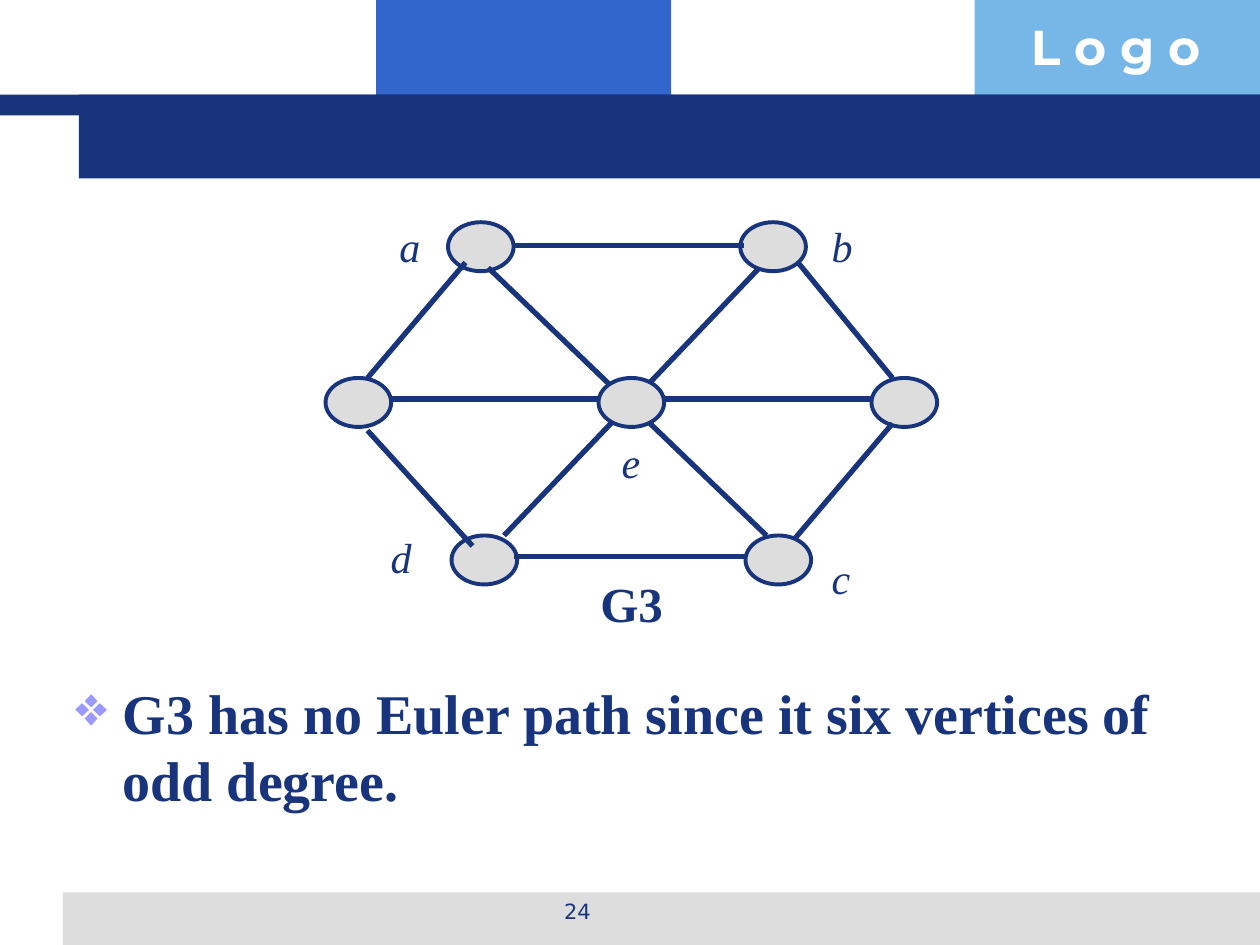
from pptx import Presentation
from pptx.util import Pt
from pptx.dml.color import RGBColor
from pptx.enum.shapes import MSO_CONNECTOR, MSO_SHAPE
from pptx.enum.text import MSO_ANCHOR, PP_ALIGN
from pptx.oxml.ns import qn
from lxml.etree import SubElement

NAVY, GREY, SERIF = "17347D", "DDDDDD", "Times New Roman"
rgb = RGBColor.from_string

deck = Presentation()
deck.slide_width, deck.slide_height = Pt(720), Pt(540)
slide = deck.slides.add_slide(deck.slide_layouts[6])
shapes = slide.shapes


def add_text(text, x, y, w, h, size, face=SERIF, color=NAVY, bold=False,
             italic=False, align=PP_ALIGN.LEFT, wrap=True):
    box = shapes.add_textbox(Pt(x), Pt(y), Pt(w), Pt(h))
    frame = box.text_frame
    frame.text = text
    frame.word_wrap = wrap
    para = frame.paragraphs[0]
    para.alignment = align
    font = para.runs[0].font
    font.name, font.size = face, Pt(size)
    font.bold, font.italic = bold, italic
    font.color.rgb = rgb(color)
    return frame


def add_shape(kind, x, y, w, h, fill, line=None):
    shape = shapes.add_shape(kind, Pt(x), Pt(y), Pt(w), Pt(h))
    shape.shadow.inherit = False
    shape.fill.solid()
    shape.fill.fore_color.rgb = rgb(fill)
    if line:
        shape.line.color.rgb = rgb(line)
        shape.line.width = Pt(2.25)
    else:
        shape.line.fill.background()


# Header and footer bands
for x, y, w, h, fill in [
    (215, 0, 168.5, 66, "3366CC"),
    (557, 0, 163, 66, "77B7E7"),
    (36, 510, 684, 30, GREY),
    (0, 54, 720, 12, NAVY),
    (45, 54, 675, 48, NAVY),
]:
    add_shape(MSO_SHAPE.RECTANGLE, x, y, w, h, fill)
add_text("L o g o", 582, 6, 138, 41, 28, "Montserrat", "FFFFFF", bold=True)
add_text("24", 246, 510, 168, 25, 12, "DejaVu Sans", align=PP_ALIGN.CENTER)

# Statement with a diamond bullet
frame = add_text("G3 has no Euler path since it six vertices of odd degree.",
                 36, 384, 648, 112, 32, bold=True)
props = frame.paragraphs[0]._p.get_or_add_pPr()
props.set("marL", str(Pt(27)))
props.set("indent", str(-Pt(27)))
tint = SubElement(SubElement(props, qn("a:buClr")), qn("a:srgbClr"))
tint.set("val", "9999FF")
SubElement(props, qn("a:buChar")).set("char", "❖")

# Graph in layers: edges, then the nodes that lie over them
layers = [
    ([(348, 228, 222, 228), (498, 228, 378, 228)],
     [(256, 127), (258, 306), (426, 306), (423, 127)]),
    ([(438, 306, 279, 153), (288, 306, 434, 153),
      (293, 140.5, 425, 140.5), (294, 318, 426, 318)],
     [(342, 216), (186, 216), (498, 216)]),
    ([(210, 216, 266, 150), (454, 308, 510, 242),
      (210, 246, 270, 312), (456, 150, 510, 216)], []),
]
for edges, nodes in layers:
    for x1, y1, x2, y2 in edges:
        edge = shapes.add_connector(MSO_CONNECTOR.STRAIGHT,
                                    Pt(x1), Pt(y1), Pt(x2), Pt(y2))
        edge.line.color.rgb = rgb(NAVY)
        edge.line.width = Pt(3)
        SubElement(edge._element.spPr, qn("a:effectLst"))
    for x, y in nodes:
        add_shape(MSO_SHAPE.OVAL, x, y, 37.5, 28, GREY, NAVY)

# Vertex names and graph name
for name, x, y, w in [("a", 216, 122.5, 36.5), ("b", 468, 122.5, 26.5),
                      ("c", 468, 312, 25), ("d", 216, 300, 26.5),
                      ("e", 348, 246, 25)]:
    frame = add_text(name, x, y, w, 36, 24, italic=True,
                     align=PP_ALIGN.CENTER, wrap=False)
    frame.vertical_anchor = MSO_ANCHOR.MIDDLE
add_text("G3", 336, 324, 50.5, 41, 28, bold=True, wrap=False)

deck.save("out.pptx")
